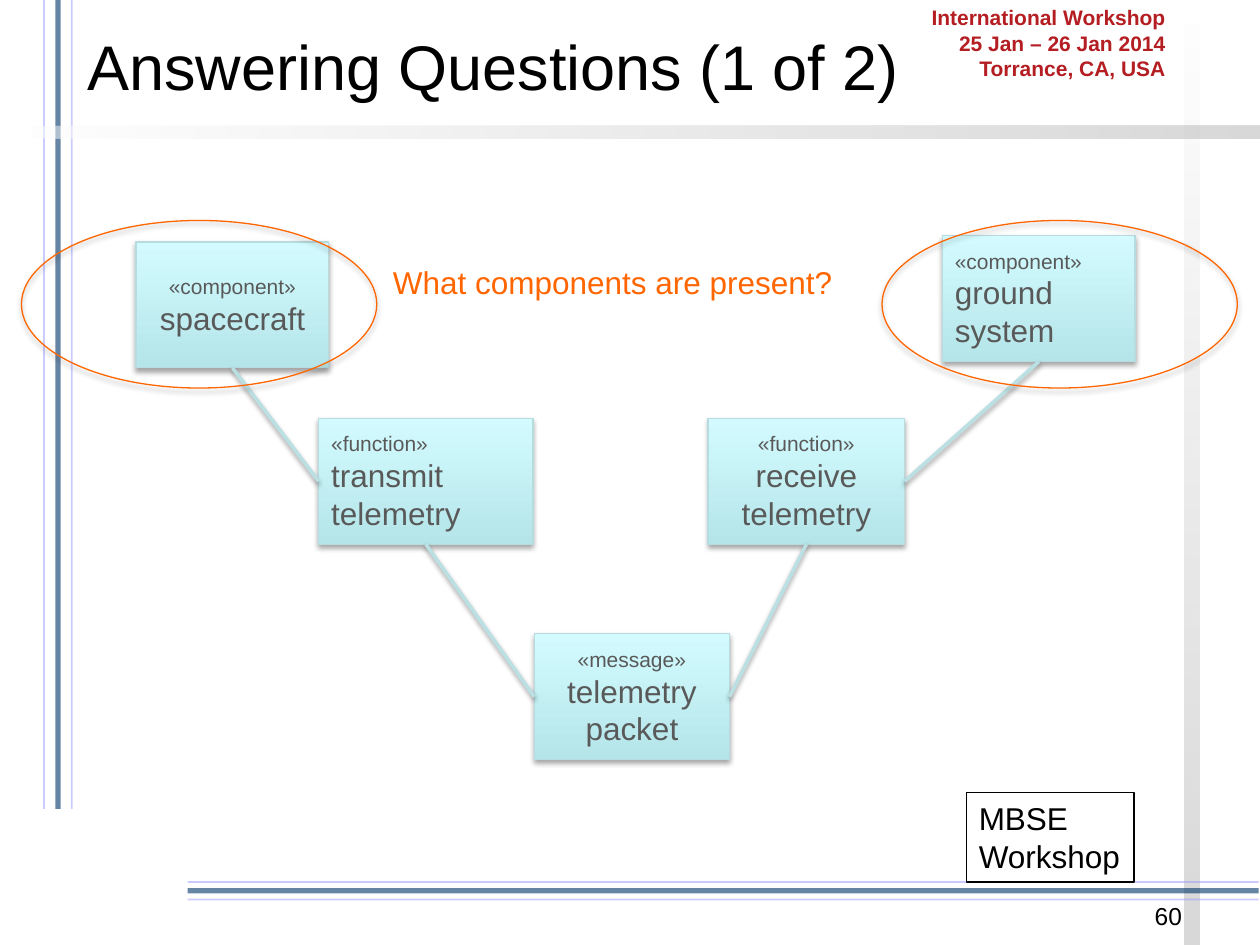
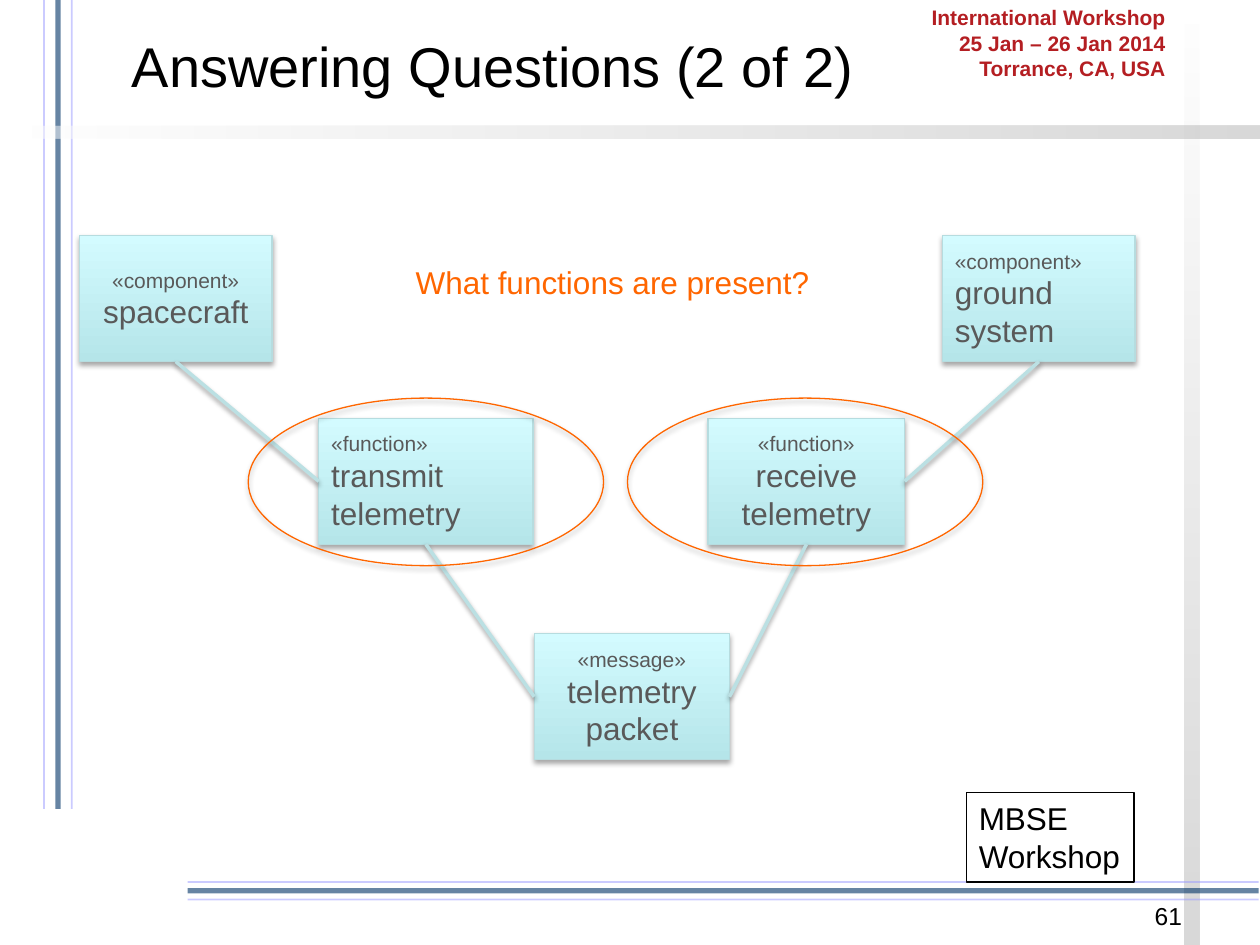
import dataclasses

import pptx
import pptx.dml.color
import pptx.enum.shapes
import pptx.enum.text
import pptx.oxml
import pptx.oxml.ns
import pptx.util

Inches = pptx.util.Inches
Pt = pptx.util.Pt
Shapes = pptx.enum.shapes.MSO_SHAPE
Align = pptx.enum.text.PP_ALIGN
Anchor = pptx.enum.text.MSO_ANCHOR
AutoSize = pptx.enum.text.MSO_AUTO_SIZE
qn = pptx.oxml.ns.qn


@dataclasses.dataclass(frozen=True)
class Theme:
    font: str = "Arial"
    ink: str = "000000"
    event: str = "B41E22"
    accent: str = "FF6600"
    node_text: str = "595959"
    node_fill: tuple = ("B5E5E9", "D3FBFF")
    node_edge: str = "B6DCDF"
    link: str = "BBE0E3"
    band_fill: tuple = ("FFFFFF", "B2B2B2")
    thin_rail: str = "9999FF"
    thick_rail: str = "003366"
    small: int = 12
    number: int = 14
    body: int = 18


@dataclasses.dataclass(frozen=True)
class Box:
    left: float
    top: float
    width: float
    height: float

    def inner(self, left, top, width, height):
        return Box(self.left + left, self.top + top, width, height)

    def lengths(self):
        return [Inches(v) for v in (self.left, self.top, self.width, self.height)]


THEME = Theme()
PAGE = Box(0, 0, 10, 7.5)
DIAGRAM = Box(0.63, 1.87, 8.38, 4.16)
BOTTOM, LEFT, RIGHT = 2, 1, 3  # connection sites of a rectangle

# Node: stereotype, name, alignment, place within the diagram
NODES = {
    "transmit": ("«function»", "transmit telemetry", Align.LEFT, (1.9, 1.45, 1.7, 1)),
    "receive": ("«function»", "receive telemetry", Align.CENTER, (4.99, 1.45, 1.56, 1)),
    "message": ("«message»", "telemetry packet", Align.CENTER, (3.61, 3.16, 1.55, 1)),
    "ground": ("«component»", "ground system", Align.LEFT, (6.85, 0, 1.53, 1)),
}
LINKS = [
    ("spacecraft", BOTTOM, "transmit", LEFT),
    ("transmit", BOTTOM, "message", LEFT),
    ("message", RIGHT, "receive", BOTTOM),
    ("receive", RIGHT, "ground", BOTTOM),
]


# Formatting helpers
def rgb(code):
    return pptx.dml.color.RGBColor.from_string(code)


def set_opacity(shape, percent):
    for color in shape.element.spPr.iter(qn("a:srgbClr")):
        alpha = pptx.oxml.parse_xml(
            f'<a:alpha {pptx.oxml.ns.nsdecls("a")} val="{percent * 1000}"/>')
        color.append(alpha)


def set_shadow(shape, opacity=None, distance=1.8):
    """Replace the inherited shadow by a soft one below, or by none."""
    properties = shape.element.spPr
    for effects in properties.findall(qn("a:effectLst")):
        properties.remove(effects)
    drop = "" if opacity is None else (
        f'<a:outerShdw blurRad="{Pt(3.1)}" dist="{Pt(distance)}" dir="5400000" '
        f'rotWithShape="0"><a:srgbClr val="{THEME.ink}">'
        f'<a:alpha val="{opacity * 1000}"/></a:srgbClr></a:outerShdw>')
    properties.append(pptx.oxml.parse_xml(
        f'<a:effectLst {pptx.oxml.ns.nsdecls("a")}>{drop}</a:effectLst>'))


def set_gradient(shape, colors, angle):
    shape.fill.gradient()
    shape.fill.gradient_angle = angle
    for stop, color, position in zip(shape.fill.gradient_stops, colors, (0, 1)):
        stop.color.rgb = rgb(color)
        stop.position = position


def set_line(shape, color, points):
    shape.line.color.rgb = rgb(color)
    shape.line.width = Pt(points)


def add_span(para, text, size, color=THEME.ink, bold=False):
    span = para.add_run()
    span.text = text
    span.font.name = THEME.font
    span.font.size = Pt(size)
    span.font.bold = bold
    span.font.color.rgb = rgb(color)


def add_text(page, box, lines, size, color=THEME.ink, align=Align.LEFT,
             bold=False, wrap=False):
    text_box = page.shapes.add_textbox(*box.lengths())
    frame = text_box.text_frame
    frame.word_wrap = wrap
    frame.auto_size = AutoSize.NONE if wrap else AutoSize.SHAPE_TO_FIT_TEXT
    for index, line in enumerate(lines):
        para = frame.add_paragraph() if index else frame.paragraphs[0]
        para.alignment = align
        add_span(para, line, size, color, bold)
    return text_box


# Shared frame
def add_band(page, box, angle):
    band = page.shapes.add_shape(Shapes.RECTANGLE, *box.lengths())
    set_gradient(band, THEME.band_fill, angle)
    set_opacity(band, 50)
    band.line.fill.background()
    set_shadow(band)


def add_rails(page, box):
    """Three parallel lines along the longer side, spread over the shorter."""
    upright = box.height > box.width
    styles = [(0, THEME.thin_rail, 1, 50), (1, THEME.thin_rail, 1, 50),
              (0.5, THEME.thick_rail, 3, 60)]
    for share, color, points, opacity in styles:
        if upright:
            x = box.left + share * box.width
            ends = x, box.top, x, box.top + box.height
        else:
            y = box.top + share * box.height
            ends = box.left, y, box.left + box.width, y
        rail = page.shapes.add_connector(
            pptx.enum.shapes.MSO_CONNECTOR.STRAIGHT, *map(Inches, ends))
        set_line(rail, color, points)
        set_opacity(rail, opacity)
        set_shadow(rail)


def add_frame(page, box, number):
    add_band(page, box.inner(9.4, 0, 0.12, 7.5), 270)
    add_rails(page, box.inner(0.35, 0, 0.22, 6.42))
    add_rails(page, box.inner(1.49, 7, 8.5, 0.14))
    add_band(page, box.inner(0, 1, 10, 0.1), 0)
    add_text(page, box.inner(7.23, -0.01, 2.12, 0.71),
             ["International Workshop", "25 Jan – 26 Jan 2014", "Torrance, CA, USA"],
             THEME.small, THEME.event, Align.RIGHT, bold=True)
    label = add_text(page, box.inner(7.67, 6.29, 1.33, 0.71),
                     ["MBSE", "Workshop"], THEME.body)
    set_line(label, THEME.ink, 0.75)
    add_text(page, box.inner(7.15, 7.1, 2.33, 0.4), [str(number)],
             THEME.number, align=Align.RIGHT, wrap=True)


def add_title(page, box, text, size):
    title = page.shapes.title
    title.left, title.top, title.width, title.height = box.lengths()
    frame = title.text_frame
    frame.auto_size = AutoSize.NONE
    frame.vertical_anchor = Anchor.MIDDLE
    frame.paragraphs[0].alignment = Align.CENTER
    add_span(frame.paragraphs[0], text, size)


# Diagram
def add_node(page, box, stereotype, name, align):
    node = page.shapes.add_shape(Shapes.RECTANGLE, *box.lengths())
    set_gradient(node, THEME.node_fill, 90)
    set_line(node, THEME.node_edge, 0.75)
    set_shadow(node, 35)
    frame = node.text_frame
    frame.word_wrap = True
    frame.vertical_anchor = Anchor.MIDDLE
    para = frame.paragraphs[0]
    para.alignment = align
    add_span(para, stereotype, THEME.small, THEME.node_text)
    para.add_line_break()
    add_span(para, name, THEME.body, THEME.node_text)
    return node


def add_link(page, start, start_site, end, end_site):
    link = page.shapes.add_connector(
        pptx.enum.shapes.MSO_CONNECTOR.STRAIGHT, 0, 0, 0, 0)
    link.begin_connect(start, start_site)
    link.end_connect(end, end_site)
    set_line(link, THEME.link, 2)
    set_shadow(link, 38, 1.6)


def add_ring(page, box):
    ring = page.shapes.add_shape(Shapes.OVAL, *box.lengths())
    ring.fill.background()
    set_line(ring, THEME.accent, 0.75)
    set_shadow(ring, 35)


def add_diagram(page, box, spacecraft_at, question, question_width, rings):
    spacecraft = ("«component»", "spacecraft", Align.CENTER, (*spacecraft_at, 1.53, 1))
    nodes = {}
    for key, (stereotype, name, align, place) in {"spacecraft": spacecraft, **NODES}.items():
        nodes[key] = add_node(page, box.inner(*place), stereotype, name, align)
    for start, start_site, end, end_site in LINKS:
        add_link(page, nodes[start], start_site, nodes[end], end_site)
    question_left = 4.25 - question_width / 2
    add_text(page, box.inner(question_left, 0.17, question_width, 0.4),
             [question], THEME.body, THEME.accent)
    for left, top in rings:
        add_ring(page, box.inner(left, top, 2.82, 1.33))


def add_question_page(deck, number, title, title_size, **diagram):
    page = deck.slides.add_slide(deck.slide_layouts.get_by_name("Title Only"))
    add_frame(page, PAGE, number)
    add_title(page, PAGE.inner(0.5, 0, 6.83, 1.04), title, title_size)
    add_diagram(page, DIAGRAM, **diagram)


def main():
    deck = pptx.Presentation()
    deck.slide_width = Inches(PAGE.width)
    deck.slide_height = Inches(PAGE.height)
    add_question_page(
        deck, 60, "Answering Questions (1 of 2)", 36,
        spacecraft_at=(0.45, 0.05),
        question="What components are present?", question_width=3.72,
        rings=[(-0.46, -0.12), (6.37, -0.12)])
    add_question_page(
        deck, 61, "Answering Questions (2 of 2)", 32,
        spacecraft_at=(0, 0),
        question="What functions are present?", question_width=3.36,
        rings=[(1.34, 1.29), (4.35, 1.29)])
    deck.save("out.pptx")


if __name__ == "__main__":
    main()
